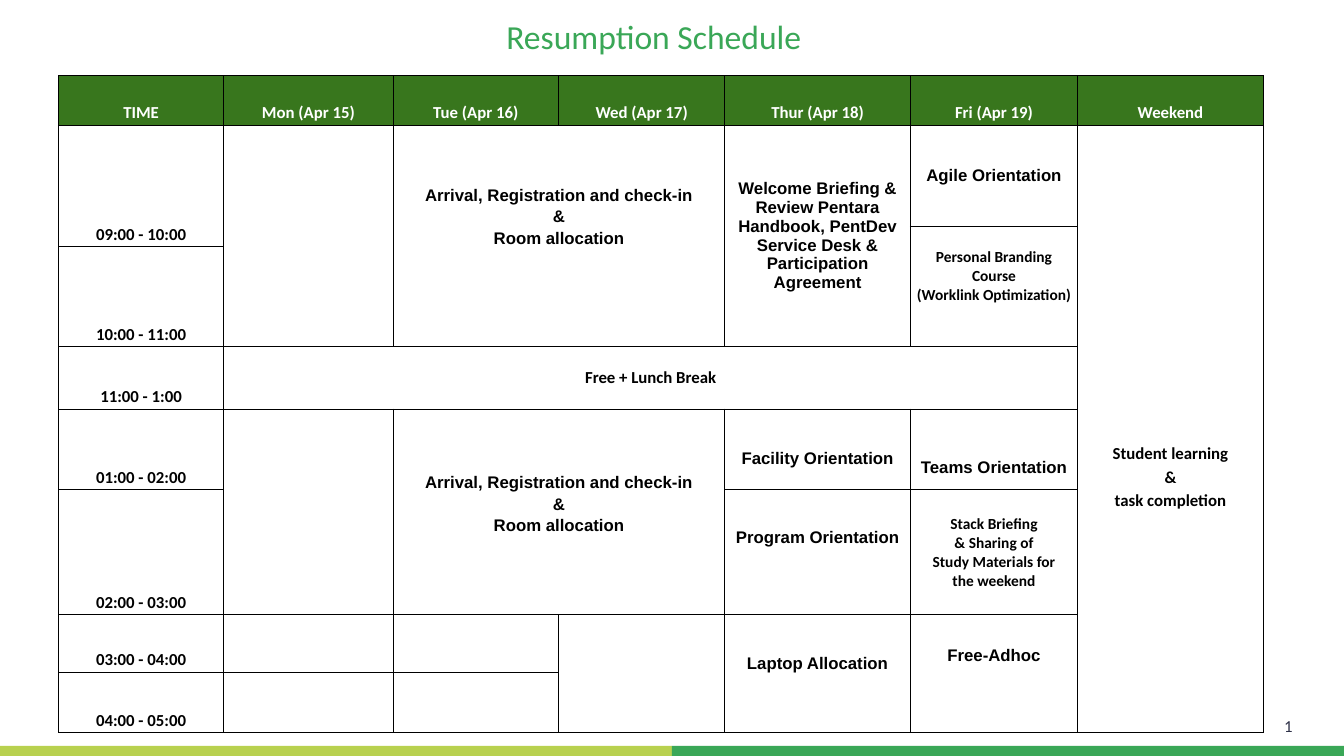
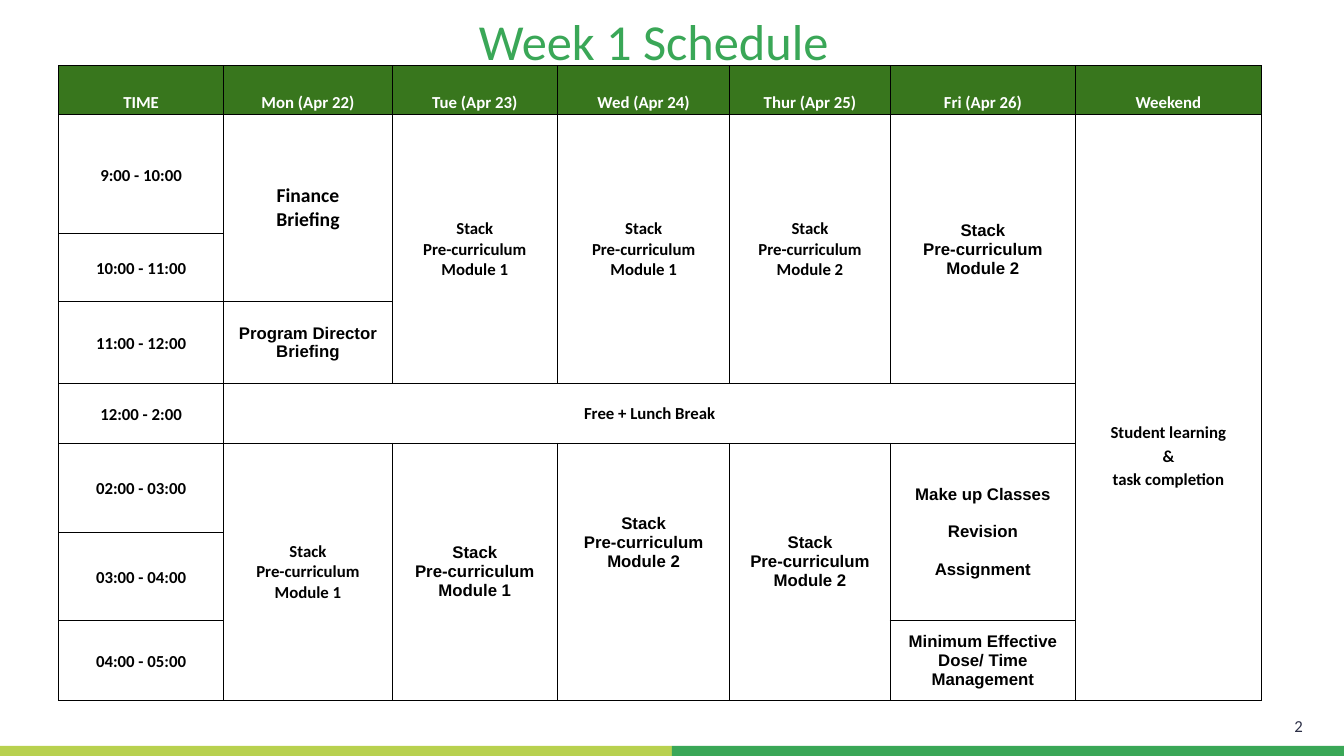
from dataclasses import dataclass

from lxml.etree import SubElement
from pptx import Presentation
from pptx.dml.color import RGBColor
from pptx.enum.shapes import MSO_SHAPE
from pptx.enum.text import MSO_ANCHOR, MSO_AUTO_SIZE, PP_ALIGN
from pptx.oxml import parse_xml
from pptx.oxml.ns import nsdecls, qn
from pptx.util import Inches, Pt

WHITE = RGBColor(0xFF, 0xFF, 0xFF)
BLACK = RGBColor(0x00, 0x00, 0x00)
HEADER_GREEN = RGBColor(0x38, 0x76, 0x1D)
LIME = RGBColor(0xB8, 0xD1, 0x4F)
GREEN = RGBColor(0x3A, 0xA7, 0x57)
NAVY = RGBColor(0x2D, 0x30, 0x47)
SLIDE_W, SLIDE_H = 13.33, 7.5


@dataclass(frozen=True)
class TextStyle:
    font: str = "Calibri"
    size: int = 12
    bold: bool = True
    color: RGBColor = BLACK
    spacing: float = 1.0
    anchor: MSO_ANCHOR = MSO_ANCHOR.MIDDLE
    gap: float = 0


HEADER = TextStyle(color=WHITE, spacing=1.15, anchor=MSO_ANCHOR.BOTTOM)
TIME_LOW = TextStyle(spacing=1.15, anchor=MSO_ANCHOR.BOTTOM)
TIME_MID = TextStyle(spacing=1.15)
PLAIN = TextStyle()
SMALL = TextStyle(size=11)
LARGE = TextStyle(size=14)
ARIAL = TextStyle(font="Arial")
ARIAL_LOOSE = TextStyle(font="Arial", spacing=1.15)
ARIAL_GAPS = TextStyle(font="Arial", gap=13.5)
PAGE_NUMBER = TextStyle(bold=False, color=NAVY)


@dataclass(frozen=True)
class Entry:
    """Schedule entry; shift moves its text down (or up) in inches."""
    row: int
    col: int
    text: str
    style: TextStyle = PLAIN
    rows: int = 1
    cols: int = 1
    shift: float = 0


class ScheduleDeck:
    def __init__(self):
        self.prs = Presentation()
        self.prs.slide_width = Inches(SLIDE_W)
        self.prs.slide_height = Inches(SLIDE_H)
        self.slide = None

    def new_slide(self, title, top, size, number_left):
        self.slide = self.prs.slides.add_slide(self.prs.slide_layouts[5])
        self.title(title, top, size)
        self.bands()
        self.page_number(number_left)

    def add_lines(self, frame, text, style, align=PP_ALIGN.CENTER):
        for i, line in enumerate(text.split("\n")):
            para = frame.paragraphs[0] if i == 0 else frame.add_paragraph()
            para.alignment = align
            para.line_spacing = style.spacing
            para.space_before = Pt(style.gap if i else 0)
            run = para.add_run()
            run.text = line
            self.apply_font(run.font, style)

    def apply_font(self, font, style):
        font.name, font.size, font.bold = style.font, Pt(style.size), style.bold
        font.color.rgb = style.color

    def title(self, text, top, size):
        heading = self.slide.shapes.title
        heading.left, heading.top = Inches(0.76), Inches(top)
        heading.width, heading.height = Inches(11.45), Inches(0.77)
        frame = heading.text_frame
        frame.word_wrap = True
        frame.auto_size = MSO_AUTO_SIZE.NONE
        frame.vertical_anchor = MSO_ANCHOR.TOP
        frame.margin_left = frame.margin_right = Inches(0.1)
        frame.margin_top = frame.margin_bottom = Inches(0.1)
        self.add_lines(frame, text, TextStyle(size=size, bold=False, color=GREEN))

    def bands(self):
        half = SLIDE_W / 2
        for i, color in enumerate((LIME, GREEN)):
            band = self.slide.shapes.add_shape(
                MSO_SHAPE.RECTANGLE, Inches(i * half), Inches(7.4),
                Inches(half), Inches(0.15))
            band.shadow.inherit = False
            band.fill.solid()
            band.fill.fore_color.rgb = color
            band.line.fill.background()

    def page_number(self, left):
        footer = self.slide.shapes.add_textbox(
            Inches(left), Inches(7), Inches(3), Inches(0.4))
        frame = footer.text_frame
        frame.word_wrap = True
        frame.vertical_anchor = MSO_ANCHOR.MIDDLE
        number = str(len(self.prs.slides))
        self.add_lines(frame, number, PAGE_NUMBER, PP_ALIGN.RIGHT)
        # Turn the run into a live slide-number field
        run = frame.paragraphs[0].runs[0]._r
        run.tag = qn("a:fld")
        run.set("id", "{B6F15528-21DE-4FAA-801E-634DDDAF4B2B}")
        run.set("type", "slidenum")

    def style_cell(self, cell, fill):
        cell.margin_left = cell.margin_right = Inches(0.03)
        cell.margin_top = cell.margin_bottom = Inches(0.02)
        cell.fill.solid()
        cell.fill.fore_color.rgb = fill
        props = cell._tc.get_or_add_tcPr()
        for i, side in enumerate(("lnL", "lnR", "lnT", "lnB")):
            border = parse_xml(f'<a:{side} {nsdecls("a")} w="{Pt(0.75)}"/>')
            solid = SubElement(border, qn("a:solidFill"))
            SubElement(solid, qn("a:srgbClr")).set("val", str(BLACK))
            props.insert(i, border)

    def schedule(self, top, widths, heights, days, times, entries):
        table = self.slide.shapes.add_table(
            len(heights), len(widths), Inches(0.58), Inches(top),
            Inches(sum(widths)), Inches(sum(heights))).table
        table.horz_banding = False
        for column, width in zip(table.columns, widths):
            column.width = Inches(width)
        for r, (row, height) in enumerate(zip(table.rows, heights)):
            row.height = Inches(height)
            for cell in row.cells:
                self.style_cell(cell, WHITE if r else HEADER_GREEN)

        labels = ["TIME", *days, "Weekend"]
        headers = [Entry(0, c, label, HEADER) for c, label in enumerate(labels)]
        weekend = Entry(1, len(widths) - 1,
                        "Student learning\n&\ntask completion", TIME_MID,
                        rows=len(heights) - 1, shift=0.47)
        for entry in headers + times + entries + [weekend]:
            self.entry(table, entry)

    def entry(self, table, entry):
        cell = table.cell(entry.row, entry.col)
        if entry.rows * entry.cols > 1:
            cell.merge(table.cell(entry.row + entry.rows - 1,
                                  entry.col + entry.cols - 1))
        cell.vertical_anchor = entry.style.anchor
        # Centred text moves by half of the extra margin
        cell.margin_top = Inches(0.02 + 2 * max(entry.shift, 0))
        cell.margin_bottom = Inches(0.02 + 2 * max(-entry.shift, 0))
        if entry.text:
            self.add_lines(cell.text_frame, entry.text, entry.style)


def resumption(deck):
    deck.new_slide("Resumption Schedule", 0.06, 24, 9.92)
    arrival = "Arrival, Registration and check-in\n&\nRoom allocation"
    times = [Entry(1, 0, "09:00 - 10:00", TIME_LOW, rows=2)]
    times += [Entry(r, 0, hours, TIME_LOW) for r, hours in enumerate(
        ("10:00 - 11:00", "11:00 - 1:00", "01:00 - 02:00",
         "02:00 - 03:00", "03:00 - 04:00", "04:00 - 05:00"), start=3)]
    entries = [
        # Morning
        Entry(1, 1, "", rows=3),
        Entry(1, 2, arrival, ARIAL_LOOSE, rows=3, cols=2, shift=-0.2),
        Entry(1, 4, "Welcome Briefing & Review Pentara Handbook, PentDev "
              "Service Desk & Participation Agreement", ARIAL, rows=3),
        Entry(1, 5, "Agile Orientation", ARIAL),
        Entry(2, 5, "Personal Branding\nCourse\n(Worklink Optimization)",
              SMALL, rows=2, shift=-0.1),
        Entry(4, 1, "Free + Lunch Break", cols=5),
        # Afternoon
        Entry(5, 1, "", rows=2),
        Entry(5, 2, arrival, ARIAL_LOOSE, rows=2, cols=2, shift=-0.09),
        Entry(5, 4, "Facility Orientation", ARIAL, shift=0.09),
        Entry(5, 5, "Teams Orientation", ARIAL, shift=0.18),
        Entry(6, 4, "Program Orientation", ARIAL, shift=-0.15),
        Entry(6, 5, "Stack Briefing\n& Sharing of\nStudy Materials for\n"
              "the weekend", SMALL),
        Entry(7, 3, "", rows=2),
        Entry(7, 4, "Laptop Allocation", ARIAL, rows=2, shift=-0.1),
        Entry(7, 5, "Free-Adhoc", ARIAL, rows=2, shift=-0.18),
    ]
    deck.schedule(
        0.75, (1.64, 1.68, 1.64, 1.65, 1.84, 1.66, 1.84),
        (0.49, 1.01, 0.2, 0.99, 0.62, 0.8, 1.24, 0.57, 0.6),
        ("Mon (Apr 15)", "Tue (Apr 16)", "Wed (Apr 17)", "Thur (Apr 18)",
         "Fri (Apr 19)"), times, entries)


def week_one(deck):
    deck.new_slide("Week 1 Schedule", 0, 36, 10.02)
    module_1, module_2 = (f"Stack\nPre-curriculum\nModule {n}" for n in (1, 2))
    times = [Entry(r, 0, hours, TIME_MID) for r, hours in enumerate(
        ("9:00 - 10:00", "10:00 - 11:00", "11:00 - 12:00", "12:00 - 2:00",
         "02:00 - 03:00", "03:00 - 04:00", "04:00 - 05:00"), start=1)]
    entries = [
        # Morning
        Entry(1, 1, "Finance\nBriefing", LARGE, rows=2),
        Entry(3, 1, "Program Director\nBriefing", ARIAL),
        Entry(1, 2, module_1, rows=3),
        Entry(1, 3, module_1, rows=3),
        Entry(1, 4, module_2, rows=3),
        Entry(1, 5, module_2, ARIAL, rows=3),
        Entry(4, 1, "Free + Lunch Break", cols=5),
        # Afternoon
        Entry(5, 1, module_1, rows=3),
        Entry(5, 2, module_1, ARIAL, rows=3),
        Entry(5, 3, module_2, ARIAL, rows=3, shift=-0.29),
        Entry(5, 4, module_2, ARIAL, rows=3, shift=-0.1),
        Entry(5, 5, "Make up Classes\nRevision\nAssignment", ARIAL_GAPS,
              rows=2),
        Entry(7, 5, "Minimum Effective\nDose/ Time\nManagement", ARIAL),
    ]
    deck.schedule(
        0.65, (1.64, 1.67, 1.64, 1.71, 1.59, 1.84, 1.84),
        (0.49, 1.18, 0.67, 0.82, 0.59, 0.88, 0.88, 0.79),
        ("Mon (Apr 22)", "Tue (Apr 23)", "Wed (Apr 24)", "Thur (Apr 25)",
         "Fri (Apr 26)"), times, entries)


def main():
    deck = ScheduleDeck()
    resumption(deck)
    week_one(deck)
    deck.prs.save("out.pptx")


if __name__ == "__main__":
    main()
